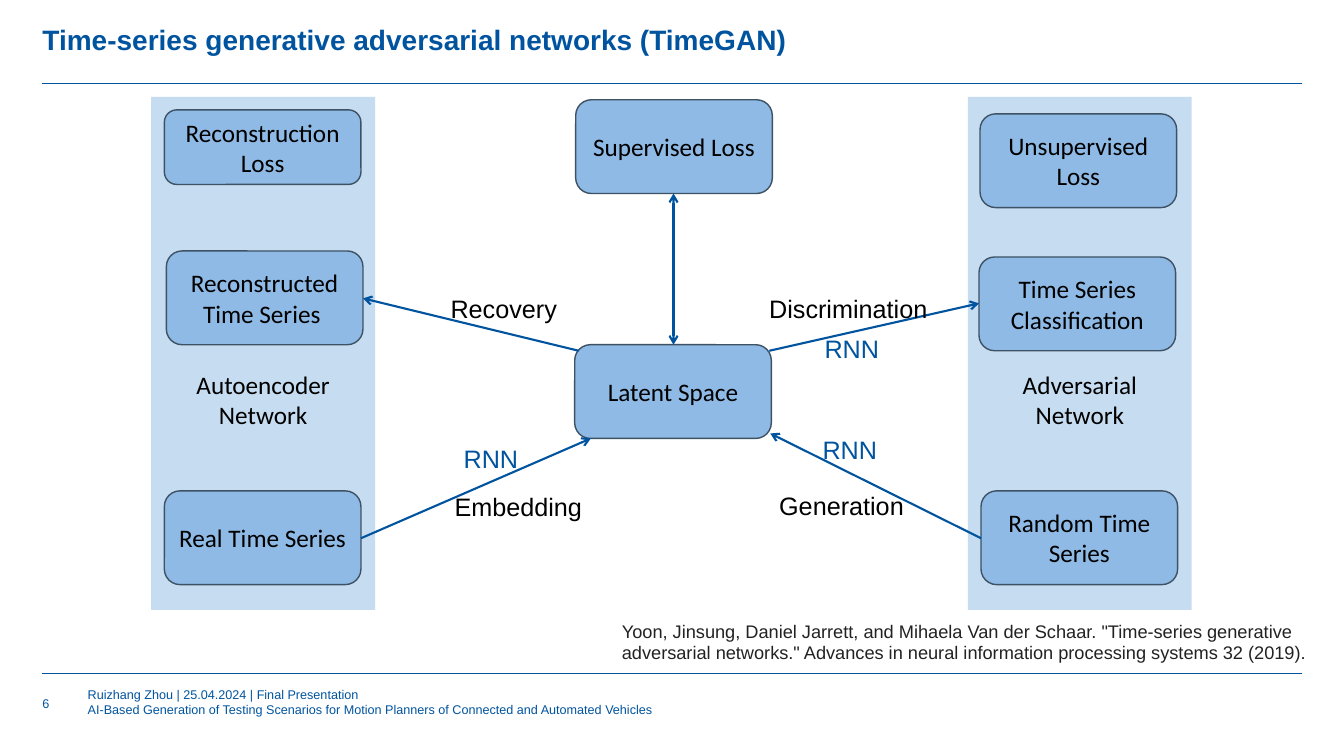
"""Build the TimeGAN architecture slide."""
from typing import NamedTuple

from lxml import etree
from pptx import Presentation
from pptx.dml.color import RGBColor
from pptx.enum import shapes, text
from pptx.oxml.ns import qn
from pptx.util import Inches, Pt

BLUE, LIGHT, EDGE, BLACK, GREY = "00549F", "8EBAE5", "3E5264", "000000", "222222"
BOX_W, BOX_H = 1.95, 0.93
PANEL_TOP, PANEL_W, PANEL_H = 0.96, 2.22, 5.09
MARGIN, RIGHT = 0.42, 12.91
FOOTER_TOP, FOOTER_H = 6.81, 0.33


class Panel(NamedTuple):
    label: str
    left: float


class Box(NamedTuple):
    label: str
    left: float
    top: float
    height: float = BOX_H


class Line(NamedTuple):
    x1: float
    y1: float
    x2: float
    y2: float
    width: float = 1.5
    ends: tuple[str, ...] = ("tailEnd",)


class Label(NamedTuple):
    text: str
    left: float
    top: float
    width: float
    height: float = 0.4
    size: float = 18
    color: str = BLACK
    inset: bool = True
    anchor: text.MSO_ANCHOR = text.MSO_ANCHOR.TOP


PANELS = [Panel("Autoencoder Network", 1.5), Panel("Adversarial Network", 9.6)]

BOXES = [
    Box("Reconstruction Loss", 1.63, 1.09, 0.74),
    Box("Reconstructed Time Series ", 1.65, 2.49),
    Box("Real Time Series", 1.63, 4.87),
    Box("Supervised Loss", 5.71, 0.99),
    Box("Latent Space", 5.7, 3.42),
    Box("Unsupervised Loss", 9.72, 1.13),
    Box("Time Series Classification", 9.71, 2.55),
    Box("Random Time Series", 9.73, 4.87),
]

LINES = [
    Line(MARGIN, 0.83, RIGHT, 0.83, 0.5, ()),
    Line(MARGIN, 6.68, RIGHT, 6.68, 0.5, ()),
    Line(5.74, 3.48, 3.6, 2.96),
    Line(6.68, 3.42, 6.68, 1.92, ends=("headEnd", "tailEnd")),
    Line(7.63, 3.48, 9.71, 3.01),
    Line(3.58, 5.34, 5.86, 4.35),
    Line(9.73, 5.34, 7.64, 4.3),
]

LABELS = [
    Label("Recovery", 4.37, 2.86, 1.34),
    Label("Discrimination", 7.53, 2.86, 1.81),
    Label("Embedding", 4.41, 4.83, 1.57),
    Label("Generation", 7.63, 4.82, 1.57),
    Label("RNN", 4.5, 4.35, 1.16, color=BLUE),
    Label("RNN", 8.06, 4.26, 1.16, color=BLUE),
    Label("RNN", 8.08, 3.26, 1.16, color=BLUE),
    Label('Yoon, Jinsung, Daniel Jarrett, and Mihaela Van der Schaar. "Time-series generative '
          'adversarial networks." Advances in neural information processing systems 32 (2019).',
          6.07, 6.1, 7.66, 0.54, 13, GREY),
    Label("6", MARGIN, FOOTER_TOP, 0.45, FOOTER_H, 9, BLUE, False, text.MSO_ANCHOR.MIDDLE),
    Label("Ruizhang Zhou | 25.04.2024 | Final Presentation\n"
          "AI-Based Generation of Testing Scenarios for Motion Planners of Connected and "
          "Automated Vehicles", 0.87, FOOTER_TOP, 6.2, FOOTER_H, 9, BLUE, False),
]


def rgb(value: str) -> RGBColor:
    return RGBColor.from_string(value)


def write(tf, content: str, size: float, color: str, font: str = "Arial",
          align=text.PP_ALIGN.LEFT, bold: bool = False) -> None:
    tf.text = content
    tf.word_wrap = True
    for p in tf.paragraphs:
        p.alignment = align
        for r in p.runs:
            r.font.name, r.font.size, r.font.bold = font, Pt(size), bold
            r.font.color.rgb = rgb(color)


def clear_insets(tf) -> None:
    tf.margin_left = tf.margin_right = tf.margin_top = tf.margin_bottom = 0


def add_block(s, kind, left: float, top: float, width: float, height: float, label: str):
    sp = s.shapes.add_shape(kind, Inches(left), Inches(top), Inches(width), Inches(height))
    sp.shadow.inherit = False
    sp.fill.solid()
    sp.fill.fore_color.rgb = rgb(LIGHT)
    write(sp.text_frame, label, 18, BLACK, "Calibri", text.PP_ALIGN.CENTER)
    sp.text_frame.vertical_anchor = text.MSO_ANCHOR.MIDDLE
    return sp


def add_panel(s, panel: Panel) -> None:
    sp = add_block(s, shapes.MSO_SHAPE.RECTANGLE, panel.left, PANEL_TOP, PANEL_W, PANEL_H,
                   panel.label)
    sp.line.fill.background()
    sp.text_frame.margin_top = Inches(0.96)
    color = sp.fill._xPr.find(qn("a:solidFill")).find(qn("a:srgbClr"))
    etree.SubElement(color, qn("a:alpha"), val="50000")


def add_box(s, box: Box) -> None:
    sp = add_block(s, shapes.MSO_SHAPE.ROUNDED_RECTANGLE, box.left, box.top, BOX_W, box.height,
                   box.label)
    sp.line.color.rgb = rgb(EDGE)
    sp.line.width = Pt(1)


def add_line(s, line: Line) -> None:
    cx = s.shapes.add_connector(shapes.MSO_CONNECTOR.STRAIGHT, Inches(line.x1), Inches(line.y1),
                                Inches(line.x2), Inches(line.y2))
    cx.line.color.rgb = rgb(BLUE)
    cx.line.width = Pt(line.width)
    ln = cx.line._get_or_add_ln()
    for end in line.ends:
        etree.SubElement(ln, qn(f"a:{end}"), type="arrow")
    etree.SubElement(ln.getparent(), qn("a:effectLst"))


def add_label(s, label: Label) -> None:
    tf = s.shapes.add_textbox(Inches(label.left), Inches(label.top), Inches(label.width),
                              Inches(label.height)).text_frame
    write(tf, label.text, label.size, label.color)
    tf.vertical_anchor = label.anchor
    if not label.inset:
        clear_insets(tf)


def add_title(s, content: str) -> None:
    sp = s.shapes.title
    sp.left, sp.top = Inches(MARGIN), 0
    sp.width, sp.height = Inches(RIGHT - MARGIN), Inches(0.82)
    tf = sp.text_frame
    write(tf, content, 20, BLUE, bold=True)
    tf.vertical_anchor = text.MSO_ANCHOR.MIDDLE
    tf.paragraphs[0].line_spacing = 0.9
    clear_insets(tf)


def main() -> None:
    prs = Presentation()
    prs.slide_width, prs.slide_height = Inches(13.33), Inches(7.5)
    s = prs.slides.add_slide(prs.slide_layouts[5])
    add_title(s, "Time-series generative adversarial networks (TimeGAN)")
    for draw, items in ((add_panel, PANELS), (add_box, BOXES), (add_line, LINES),
                        (add_label, LABELS)):
        for item in items:
            draw(s, item)
    prs.save("out.pptx")


if __name__ == "__main__":
    main()
